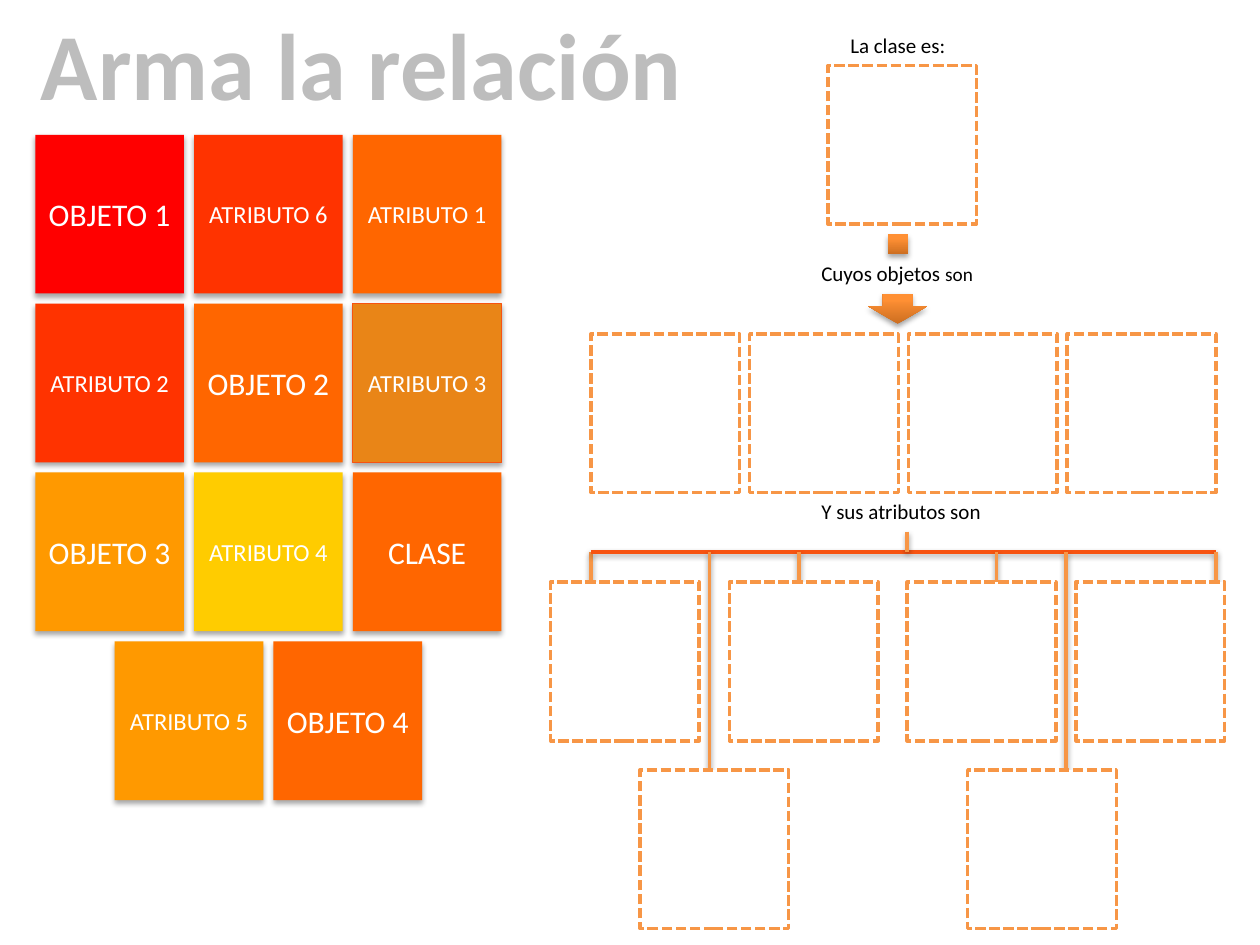
from dataclasses import dataclass

from lxml import etree
from pptx import Presentation
from pptx.dml.color import RGBColor
from pptx.enum import dml, shapes, text
from pptx.oxml import ns
from pptx.util import Inches, Pt


@dataclass(frozen=True)
class Theme:
    font: str = "Calibri"
    title: str = "BDBDBD"
    ink: str = "000000"
    white: str = "FFFFFF"
    accent: str = "F79646"
    trunk: str = "F75311"
    gradient: tuple = ((0, "CC6E20"), (0.8, "FF9034"))
    red: str = "FF0000"
    scarlet: str = "FF3300"
    orange: str = "FF6600"
    ochre: str = "E98517"
    amber: str = "FF9900"
    yellow: str = "FFCC00"
    title_size: float = 54
    major_size: float = 18
    minor_size: float = 14
    label_size: float = 12
    small_size: float = 11


theme = Theme()


def write(frame, *runs, color=theme.ink, bold=False, align=text.PP_ALIGN.LEFT, wrap=False):
    """Fill a text frame with (wording, size) runs in one paragraph."""
    frame.word_wrap = wrap
    paragraph = frame.paragraphs[0]
    paragraph.alignment = align
    for wording, size in runs:
        run = paragraph.add_run()
        run.text = wording
        run.font.name, run.font.size, run.font.bold = theme.font, Pt(size), bold
        run.font.color.rgb = RGBColor.from_string(color)


def cast_shadow(item, alpha, distance):
    """Give a shape or connector a soft shadow straight below it."""
    properties = item.element.spPr
    effects = properties.find(ns.qn("a:effectLst"))
    if effects is None:
        effects = etree.SubElement(properties, ns.qn("a:effectLst"))
    shadow = etree.SubElement(effects, ns.qn("a:outerShdw"), blurRad=str(Pt(3.1)),
                              dist=str(Pt(distance)), dir="5400000", rotWithShape="0")
    black = etree.SubElement(shadow, ns.qn("a:srgbClr"), val="000000")
    etree.SubElement(black, ns.qn("a:alpha"), val=str(alpha * 1000))


deck = Presentation()
deck.slide_width, deck.slide_height = Inches(10), Inches(7.5)
slide = deck.slides.add_slide(deck.slide_layouts[6])

# Coloured cards: three full rows and a centred row of two
card_width, card_height = 1.18, 1.26
column_step, row_step = 1.26, 1.34
card_rows = [
    (0.28, [("OBJETO 1", theme.red), ("ATRIBUTO 6", theme.scarlet), ("ATRIBUTO 1", theme.orange)]),
    (0.28, [("ATRIBUTO 2", theme.scarlet), ("OBJETO 2", theme.orange), ("ATRIBUTO 3", theme.ochre)]),
    (0.28, [("OBJETO 3", theme.amber), ("ATRIBUTO 4", theme.yellow), ("CLASE", theme.orange)]),
    (0.91, [("ATRIBUTO 5", theme.amber), ("OBJETO 4", theme.orange)]),
]
for row, (row_left, cards) in enumerate(card_rows):
    for column, (wording, color) in enumerate(cards):
        card = slide.shapes.add_shape(
            shapes.MSO_SHAPE.RECTANGLE,
            Inches(row_left + column * column_step), Inches(1.07 + row * row_step),
            Inches(card_width), Inches(card_height))
        card.shadow.inherit = False
        card.fill.solid()
        card.fill.fore_color.rgb = RGBColor.from_string(color)
        if wording == "ATRIBUTO 3":
            card.line.color.rgb = RGBColor.from_string(theme.trunk)
            card.line.width = Pt(0.75)
        else:
            card.line.fill.background()
        cast_shadow(card, alpha=35, distance=1.8)
        size = theme.minor_size if wording.startswith("ATRIBUTO") else theme.major_size
        card.text_frame.vertical_anchor = text.MSO_ANCHOR.MIDDLE
        write(card.text_frame, (wording, size), color=theme.white,
              align=text.PP_ALIGN.CENTER, wrap=True)

# Tree of attributes: a trunk with a stem above and branches below
trunk_y, trunk_left, trunk_right = 4.38, 4.69, 9.65
attribute_top, lower_top = 4.62, 6.11
branches = [(trunk_left, attribute_top), (5.63, 6.43), (6.34, attribute_top),
            (7.91, attribute_top), (8.46, 6.27), (trunk_right, attribute_top)]
tree_lines = [(x, trunk_y, x, bottom, theme.accent) for x, bottom in branches]
tree_lines.insert(1, (trunk_left, trunk_y, trunk_right, trunk_y, theme.trunk))
tree_lines.append((7.2, 4.22, 7.2, trunk_y, theme.accent))
for *ends, color in tree_lines:
    branch = slide.shapes.add_connector(shapes.MSO_CONNECTOR.STRAIGHT, *map(Inches, ends))
    branch.line.color.rgb = RGBColor.from_string(color)
    branch.line.width = Pt(2)
    cast_shadow(branch, alpha=38, distance=1.6)

# Dashed slots for the class, its objects and their attributes
slot_rows = [
    (0.52, [6.57]),
    (2.65, [trunk_left + i * column_step for i in range(4)]),
    (attribute_top, [4.37, 5.79, 7.2, 8.54]),
    (lower_top, [5.08, 7.68]),
]
for top, lefts in slot_rows:
    for left in lefts:
        slot = slide.shapes.add_shape(shapes.MSO_SHAPE.RECTANGLE, Inches(left), Inches(top),
                                      Inches(card_width), Inches(card_height))
        slot.shadow.inherit = False
        slot.fill.solid()
        slot.fill.fore_color.rgb = RGBColor.from_string(theme.white)
        slot.line.color.rgb = RGBColor.from_string(theme.accent)
        slot.line.width = Pt(2)
        slot.line.dash_style = dml.MSO_LINE.SQUARE_DOT

# Arrow from class to objects, split around its label
arrow_parts = [(shapes.MSO_SHAPE.RECTANGLE, (7.05, 1.86, 0.16, 0.16)),
               (shapes.MSO_SHAPE.DOWN_ARROW, (6.89, 2.33, 0.47, 0.24))]
for kind, place in arrow_parts:
    part = slide.shapes.add_shape(kind, *map(Inches, place))
    part.shadow.inherit = False
    part.fill.gradient()
    part.fill.gradient_angle = 90
    for stop, (position, color) in zip(part.fill.gradient_stops, theme.gradient):
        stop.position = position
        stop.color.rgb = RGBColor.from_string(color)
    part.line.fill.background()
    cast_shadow(part, alpha=35, distance=1.8)
    if kind == shapes.MSO_SHAPE.DOWN_ARROW:
        part.adjustments[1] = 0.58

# Title and labels
label_format = {"color": theme.ink}
title_format = {"color": theme.title, "bold": True, "align": text.PP_ALIGN.CENTER}
captions = [
    ((0.2, 0, 5.34, 1.01), [("Arma la relación", theme.title_size)], title_format),
    ((6.65, 0.21, 1.01, 0.3), [("La clase es:", theme.label_size)], label_format),
    ((6.42, 2.02, 1.44, 0.3),
     [("Cuyos objetos ", theme.label_size), ("son", theme.small_size)], label_format),
    ((6.42, 3.91, 1.48, 0.3), [("Y sus atributos son", theme.label_size)], label_format),
]
for place, runs, style in captions:
    caption = slide.shapes.add_textbox(*map(Inches, place))
    caption.text_frame.auto_size = text.MSO_AUTO_SIZE.SHAPE_TO_FIT_TEXT
    write(caption.text_frame, *runs, **style)

deck.save("out.pptx")
